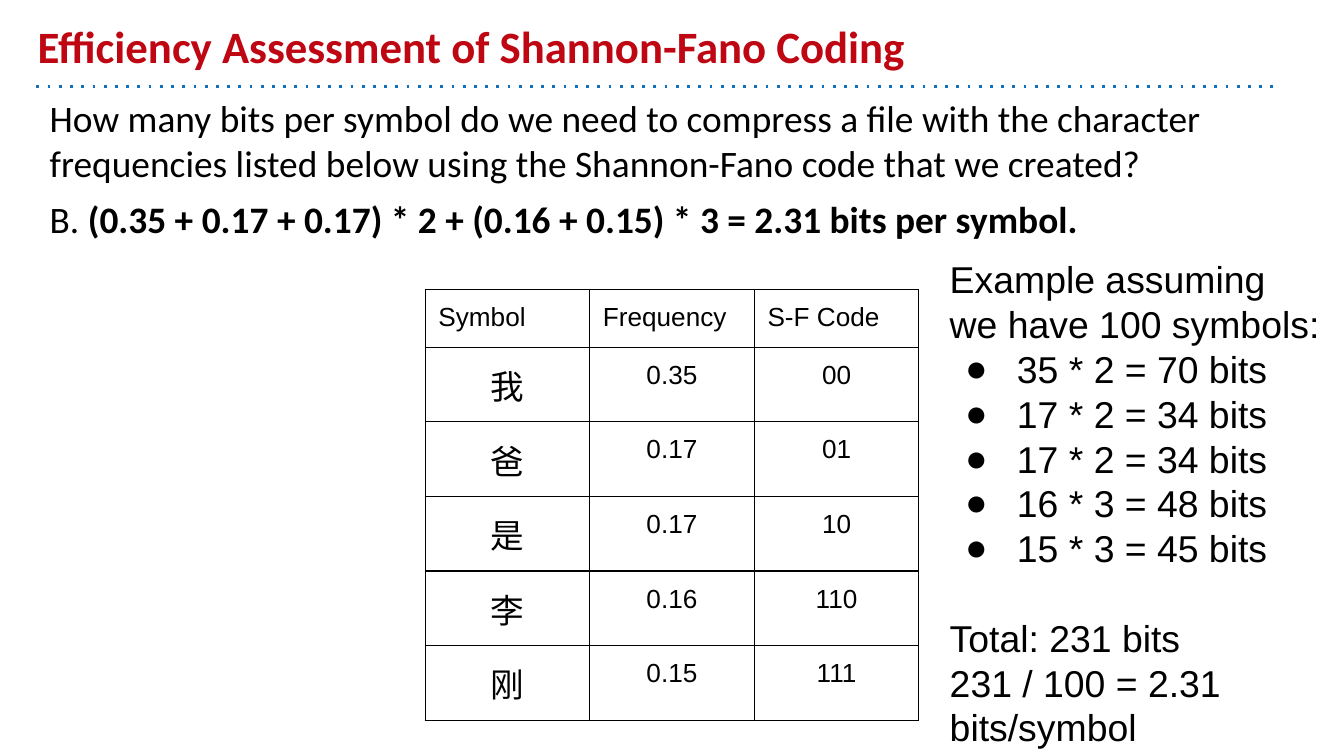
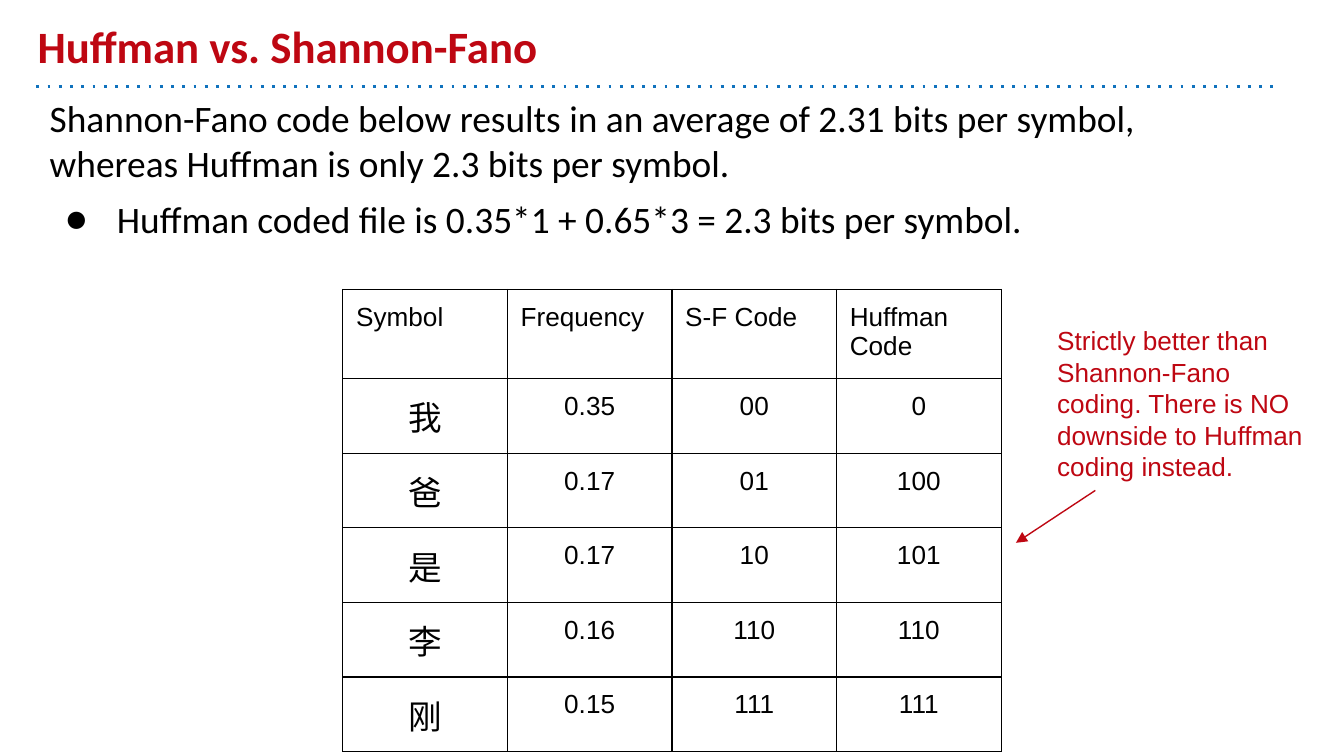
from dataclasses import dataclass

from lxml import etree
from pptx import Presentation
from pptx.dml.color import RGBColor
from pptx.enum.shapes import MSO_CONNECTOR
from pptx.enum.text import MSO_ANCHOR, PP_ALIGN
from pptx.oxml.ns import qn
from pptx.util import Cm, Pt

STRAIGHT = MSO_CONNECTOR.STRAIGHT
TOP, BOTTOM = MSO_ANCHOR.TOP, MSO_ANCHOR.BOTTOM
LEFT, CENTER = PP_ALIGN.LEFT, PP_ALIGN.CENTER


@dataclass(frozen=True)
class Theme:
    black: str = "000000"
    white: str = "FFFFFF"
    red: str = "BE0712"
    blue: str = "1072BD"
    heading_font: str = "Calibri"
    plain_font: str = "Arial"
    title_size: int = 24
    body_size: int = 20
    symbol_size: int = 18
    small_size: int = 14


THEME = Theme()
SLIDE_WIDTH, SLIDE_HEIGHT = Cm(25.4), Cm(14.29)
INSET = Cm(0.25)
COLUMN_WIDTH = Cm(3.11)
HEADER_HEIGHT, SYMBOL_HEIGHT = Cm(1.04), Cm(1.41)

SYMBOLS = ["我", "爸", "是", "李", "刚"]
FREQUENCIES = ["0.35", "0.17", "0.17", "0.16", "0.15"]
SHANNON_FANO = ["00", "01", "10", "110", "111"]
HUFFMAN = ["0", "100", "101", "110", "111"]
SHANNON_FANO_COLUMNS = {
    "Symbol": SYMBOLS,
    "Frequency": FREQUENCIES,
    "S-F Code": SHANNON_FANO,
}


def rgb(color):
    return RGBColor.from_string(color)


def set_font(font, name, size, color, bold=False):
    font.name = name
    font.size = Pt(size)
    font.color.rgb = rgb(color)
    font.bold = bold


def add_color(parent, color):
    etree.SubElement(parent, qn("a:srgbClr"), val=color)


def add_bullet(paragraph, font, size):
    properties = paragraph._p.get_or_add_pPr()
    properties.set("marL", str(Cm(1.27)))
    properties.set("indent", str(-Cm(0.98)))
    add_color(etree.SubElement(properties, qn("a:buClr")), THEME.black)
    etree.SubElement(properties, qn("a:buSzPts"), val=str(size * 100))
    etree.SubElement(properties, qn("a:buFont"), typeface=font)
    etree.SubElement(properties, qn("a:buChar"), char="●")


def add_text_frame(slide, left, top, width, height, anchor=TOP):
    frame = slide.shapes.add_textbox(Cm(left), Cm(top), Cm(width), Cm(height)).text_frame
    frame.word_wrap = True
    frame.vertical_anchor = anchor
    frame.margin_left = frame.margin_right = INSET
    frame.margin_top = frame.margin_bottom = INSET
    return frame


def add_paragraph(frame, text, font, size, color=THEME.black, bold=False,
                  bullet=False, space_before=0):
    first = not frame.paragraphs[0].runs
    paragraph = frame.paragraphs[0] if first else frame.add_paragraph()
    if bullet:
        add_bullet(paragraph, font, size)
    if space_before and not first:
        paragraph.space_before = Pt(space_before)
    paragraph.add_run().text = text
    set_font(paragraph.font, font, size, color, bold)
    return paragraph


def add_body_line(body, text, bullet=False):
    return add_paragraph(body, text, THEME.heading_font, THEME.body_size,
                         bullet=bullet, space_before=6)


def add_example_line(example, text, bullet=False, space_before=0):
    add_paragraph(example, text, THEME.plain_font, THEME.body_size, bullet=bullet,
                  space_before=space_before)


def add_line(slide, start, end, color, width):
    connector = slide.shapes.add_connector(STRAIGHT, *map(Cm, start + end))
    connector.line.color.rgb = rgb(color)
    connector.line.width = Pt(width)
    etree.SubElement(connector._element.spPr, qn("a:effectLst"))
    return connector


def add_dotted_rule(slide, start, end, color):
    rule = add_line(slide, start, end, color, 1.5)
    etree.SubElement(rule.line._get_or_add_ln(), qn("a:prstDash"), val="dot")


def add_arrow(slide, start, end, color):
    arrow = add_line(slide, start, end, color, 0.75)
    etree.SubElement(arrow.line._get_or_add_ln(), qn("a:tailEnd"), type="triangle")


def add_titled_slide(presentation, title):
    slide = presentation.slides.add_slide(presentation.slide_layouts[6])
    add_dotted_rule(slide, (0.69, 1.63), (24.13, 1.63), THEME.blue)
    heading = add_text_frame(slide, 0.46, 0.25, 22.86, 1.37, BOTTOM)
    add_paragraph(heading, title, THEME.heading_font, THEME.title_size, THEME.red, bold=True)
    return slide


def border_cell(cell):
    properties = cell._tc.get_or_add_tcPr()
    for side in ("a:lnL", "a:lnR", "a:lnT", "a:lnB"):
        border = etree.SubElement(properties, qn(side), w=str(Pt(0.75)))
        add_color(etree.SubElement(border, qn("a:solidFill")), THEME.black)


def fill_cell(cell, text, is_header, is_symbol):
    border_cell(cell)
    cell.margin_left = cell.margin_right = INSET
    cell.margin_top = cell.margin_bottom = INSET
    if is_header:
        cell.fill.background()
    else:
        cell.fill.solid()
        cell.fill.fore_color.rgb = rgb(THEME.white)
    font, size = THEME.plain_font, THEME.small_size
    if is_symbol:
        font, size = THEME.heading_font, THEME.symbol_size
    paragraph = add_paragraph(cell.text_frame, text, font, size)
    paragraph.alignment = LEFT if is_header else CENTER


def add_code_table(slide, columns):
    heights = [HEADER_HEIGHT] + [SYMBOL_HEIGHT] * len(SYMBOLS)
    width = COLUMN_WIDTH * len(columns)
    code_table = slide.shapes.add_table(
        len(heights), len(columns), (SLIDE_WIDTH - width) // 2, Cm(5.47),
        width, sum(heights)).table
    code_table.first_row = code_table.horz_banding = False
    for row, height in zip(code_table.rows, heights):
        row.height = height
    for column, (header, values) in enumerate(columns.items()):
        code_table.columns[column].width = COLUMN_WIDTH
        for row, text in enumerate([header, *values]):
            fill_cell(code_table.cell(row, column), text, row == 0,
                      row > 0 and column == 0)


def build_efficiency_slide(presentation):
    slide = add_titled_slide(presentation, "Efficiency Assessment of Shannon-Fano Coding")
    body = add_text_frame(slide, 0.69, 1.55, 23.44, 2.92)
    add_body_line(body, "How many bits per symbol do we need to compress a file with the "
                        "character frequencies listed below using the Shannon-Fano code "
                        "that we created?")
    answer = add_body_line(body, "B. ")
    formula = answer.add_run()
    formula.text = "(0.35 + 0.17 + 0.17) * 2 + (0.16 + 0.15) * 3 = 2.31 bits per symbol."
    formula.font.bold = True
    add_code_table(slide, SHANNON_FANO_COLUMNS)

    example = add_text_frame(slide, 17.7, 4.6, 7.54, 8.2)
    add_example_line(example, "Example assuming we have 100 symbols:")
    for product in ("35 * 2 = 70", "17 * 2 = 34", "17 * 2 = 34", "16 * 3 = 48", "15 * 3 = 45"):
        add_example_line(example, f"{product} bits", bullet=True)
    add_example_line(example, "Total: 231 bits", space_before=24)
    add_example_line(example, "231 / 100 = 2.31 bits/symbol")


def build_comparison_slide(presentation):
    slide = add_titled_slide(presentation, "Huffman vs. Shannon-Fano")
    body = add_text_frame(slide, 0.69, 1.55, 23.44, 3.35)
    add_body_line(body, "Shannon-Fano code below results in an average of 2.31 bits per "
                        "symbol, whereas Huffman is only 2.3 bits per symbol.")
    add_body_line(body, "Huffman coded file is 0.35*1 + 0.65*3 = 2.3 bits per symbol.",
                  bullet=True)
    add_code_table(slide, {**SHANNON_FANO_COLUMNS, "Huffman Code": HUFFMAN})

    remark = add_text_frame(slide, 19.73, 5.89, 5.36, 1.96)
    add_paragraph(remark, "Strictly better than Shannon-Fano coding. There is NO downside "
                          "to Huffman coding instead.",
                  THEME.plain_font, THEME.small_size, THEME.red)
    add_arrow(slide, (20.7, 9.27), (19.2, 10.26), THEME.red)


def main():
    presentation = Presentation()
    presentation.slide_width = SLIDE_WIDTH
    presentation.slide_height = SLIDE_HEIGHT
    build_efficiency_slide(presentation)
    build_comparison_slide(presentation)
    presentation.save("out.pptx")


if __name__ == "__main__":
    main()
